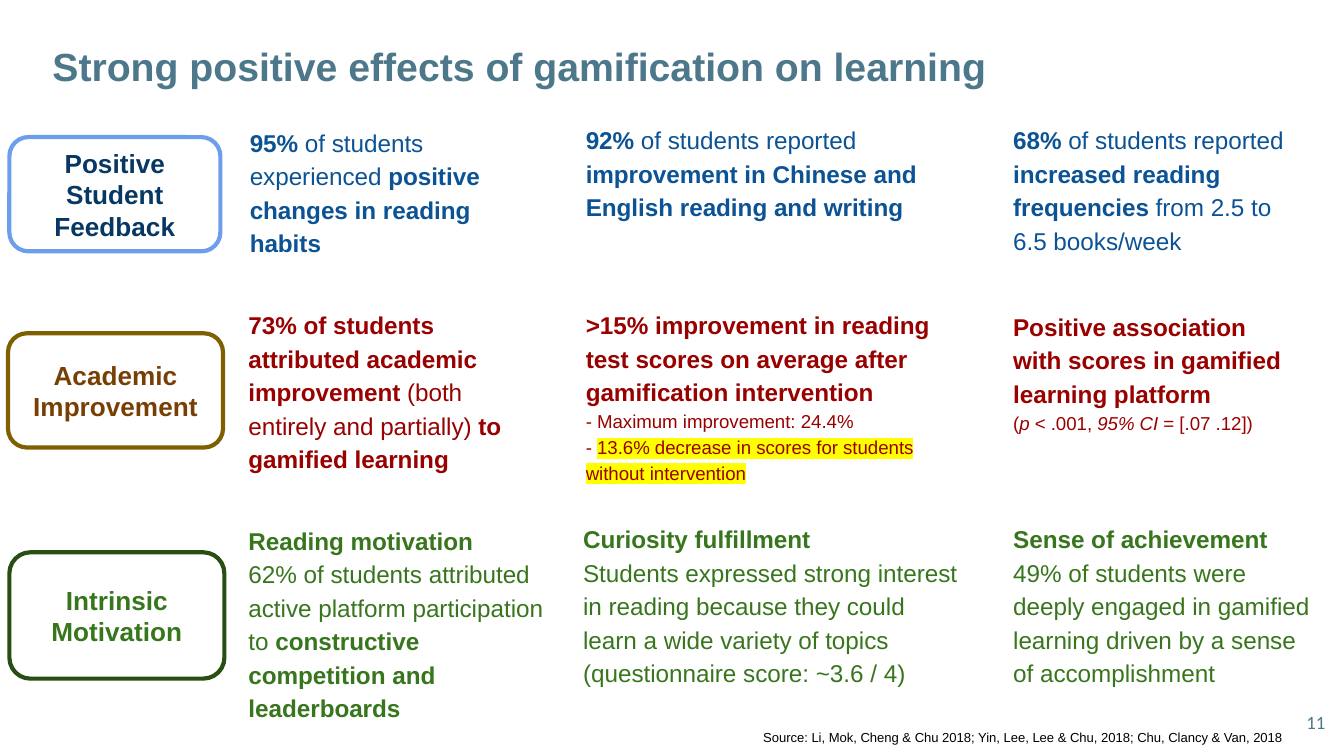
import pptx
import pptx.dml.color
import pptx.enum.shapes
import pptx.enum.text
import pptx.oxml
import pptx.oxml.ns
import pptx.util

Inches = pptx.util.Inches
ALIGN = pptx.enum.text.PP_ALIGN
ANCHOR = pptx.enum.text.MSO_ANCHOR

ROWS = [
    {
        "label": "Positive Student Feedback",
        "label_box": (0.07, 1.02, 1.57, 0.85),
        "label_color": "073763",
        "outline": "6D9EEB",
        "color": "0B5394",
        "findings": [
            ((1.76, 0.82, 2.41, 1.46), [
                (13, [("95% ", "b"), ("of students experienced ", ""),
                      ("positive changes in reading habits", "b")])]),
            ((4.26, 0.8, 3.01, 1.14), [
                (13, [("92% ", "b"), ("of students reported ", ""),
                      ("improvement in Chinese and English reading and writing", "b")])]),
            ((7.44, 0.8, 2.33, 1.34), [
                (13, [("68% ", "b"), ("of students reported ", ""),
                      ("increased reading frequencies ", "b"),
                      ("from 2.5 to 6.5 books/week", "")])]),
        ],
    },
    {
        "label": "Academic Improvement",
        "label_box": (0.06, 2.48, 1.6, 0.85),
        "label_color": "783F04",
        "outline": "7F6000",
        "color": "990000",
        "findings": [
            ((1.75, 2.18, 2.41, 1.03), [
                (13, [("73% of students attributed academic improvement", "b"),
                      (" (both entirely and partially) ", ""),
                      ("to gamified learning", "b")])]),
            ((4.26, 2.18, 3.01, 1.46), [
                (13, [(">15% improvement in reading test scores on average "
                       "after gamification intervention", "b")]),
                (10, [("- Maximum improvement: 24.4%", "")]),
                (10, [("- ", ""),
                      ("13.6% decrease in scores for students without intervention", "h")])]),
            ((7.44, 2.19, 2.33, 1.28), [
                (13, [("Positive association with scores in gamified learning platform", "b")]),
                (10, [("(", ""), ("p ", "i"), ("< .001, ", ""),
                      ("95% CI", "i"), (" = [.07 .12])", "")])]),
        ],
    },
    {
        "label": "Intrinsic Motivation",
        "label_box": (0.07, 4.11, 1.6, 0.94),
        "label_color": "38761D",
        "outline": "274E13",
        "color": "38761D",
        "findings": [
            ((1.75, 3.78, 2.41, 1.28), [
                (13, [("Reading motivation", "b")]),
                (13, [("62% of students attributed active platform participation to", ""),
                      (" constructive competition and leaderboards", "b")])]),
            ((4.24, 3.77, 3.03, 1.34), [
                (13, [("Curiosity fulfillment", "b")]),
                (13, [("Students expressed strong interest in reading because they could "
                       "learn a wide variety of topics (questionnaire score: ~3.6 / 4)", "")])]),
            ((7.44, 3.77, 2.41, 1.34), [
                (13, [("Sense of achievement", "b")]),
                (13, [("49% of students were deeply engaged in gamified learning "
                       "driven by a sense of accomplishment", "")])]),
        ],
    },
]


def rgb(value):
    """Turn a hex string into a colour."""
    return pptx.dml.color.RGBColor.from_string(value)


def highlight(span, color):
    """Mark a coloured span with a background colour."""
    mark = pptx.oxml.parse_xml(
        f'<a:highlight {pptx.oxml.ns.nsdecls("a")}><a:srgbClr val="{color}"/></a:highlight>')
    span.font.fill._xPr.find(pptx.oxml.ns.qn("a:solidFill")).addnext(mark)


def write(shape, paragraphs, color, font="Arial", align=ALIGN.LEFT, anchor=ANCHOR.TOP, spacing=1.15):
    """Fill a shape with paragraphs of (size, [(text, style flags)])."""
    frame = shape.text_frame
    frame.word_wrap = True
    frame.auto_size = pptx.enum.text.MSO_AUTO_SIZE.NONE
    frame.vertical_anchor = anchor
    frame.margin_left = frame.margin_right = Inches(0.1)
    frame.margin_top = frame.margin_bottom = Inches(0.1)
    for index, (size, spans) in enumerate(paragraphs):
        para = frame.add_paragraph() if index else frame.paragraphs[0]
        para.alignment = align
        para.line_spacing = spacing
        para.space_before = pptx.util.Pt(0)
        for text, style in spans:
            span = para.add_run()
            span.text = text
            span.font.size = pptx.util.Pt(size)
            span.font.name = font
            span.font.bold = "b" in style
            span.font.italic = "i" in style
            span.font.color.rgb = rgb(color)
            if "h" in style:
                highlight(span, "FFFF00")


def add_title(page, box, text):
    """Move and format the title placeholder."""
    title = page.shapes.title
    title.left, title.top, title.width, title.height = map(Inches, box)
    write(title, [(21, [(text, "b")])], "4D778A", anchor=ANCHOR.MIDDLE)


def add_text(page, box, paragraphs, color, **options):
    """Add a text box holding styled paragraphs."""
    write(page.shapes.add_textbox(*map(Inches, box)), paragraphs, color, **options)


def add_label(page, box, text, color, outline):
    """Add the rounded label that names a row."""
    label = page.shapes.add_shape(
        pptx.enum.shapes.MSO_SHAPE.ROUNDED_RECTANGLE, *map(Inches, box))
    label.shadow.inherit = False
    label.fill.solid()
    label.fill.fore_color.rgb = rgb("FFFFFF")
    label.line.color.rgb = rgb(outline)
    label.line.width = pptx.util.Pt(2.25)
    write(label, [(14, [(text, "b")])], color,
          align=ALIGN.CENTER, anchor=ANCHOR.MIDDLE, spacing=1.0)


def add_row(page, row):
    """Add one row: its label and its three findings."""
    add_label(page, row["label_box"], row["label"], row["label_color"], row["outline"])
    for box, paragraphs in row["findings"]:
        add_text(page, box, paragraphs, row["color"])


def main():
    """Build and save the deck."""
    deck = pptx.Presentation()
    deck.slide_width = Inches(10)
    deck.slide_height = Inches(10 * 9 / 16)
    page = deck.slides.add_slide(deck.slide_layouts.get_by_name("Title Only"))
    add_title(page, (0.29, 0.12, 8.59, 0.68),
              "Strong positive effects of gamification on learning")
    for row in ROWS:
        add_row(page, row)
    source = "Source: Li, Mok, Cheng & Chu 2018; Yin, Lee, Lee & Chu, 2018; Chu, Clancy & Van, 2018"
    add_text(page, (5.58, 5.36, 4.18, 0.24), [(7, [(source, "")])], "000000",
             anchor=ANCHOR.MIDDLE)
    add_text(page, (9.36, 5.19, 0.6, 0.43), [(10, [("11", "")])], "4D778A",
             font="Calibri", align=ALIGN.RIGHT, spacing=1.0)
    deck.save("out.pptx")


if __name__ == "__main__":
    main()
